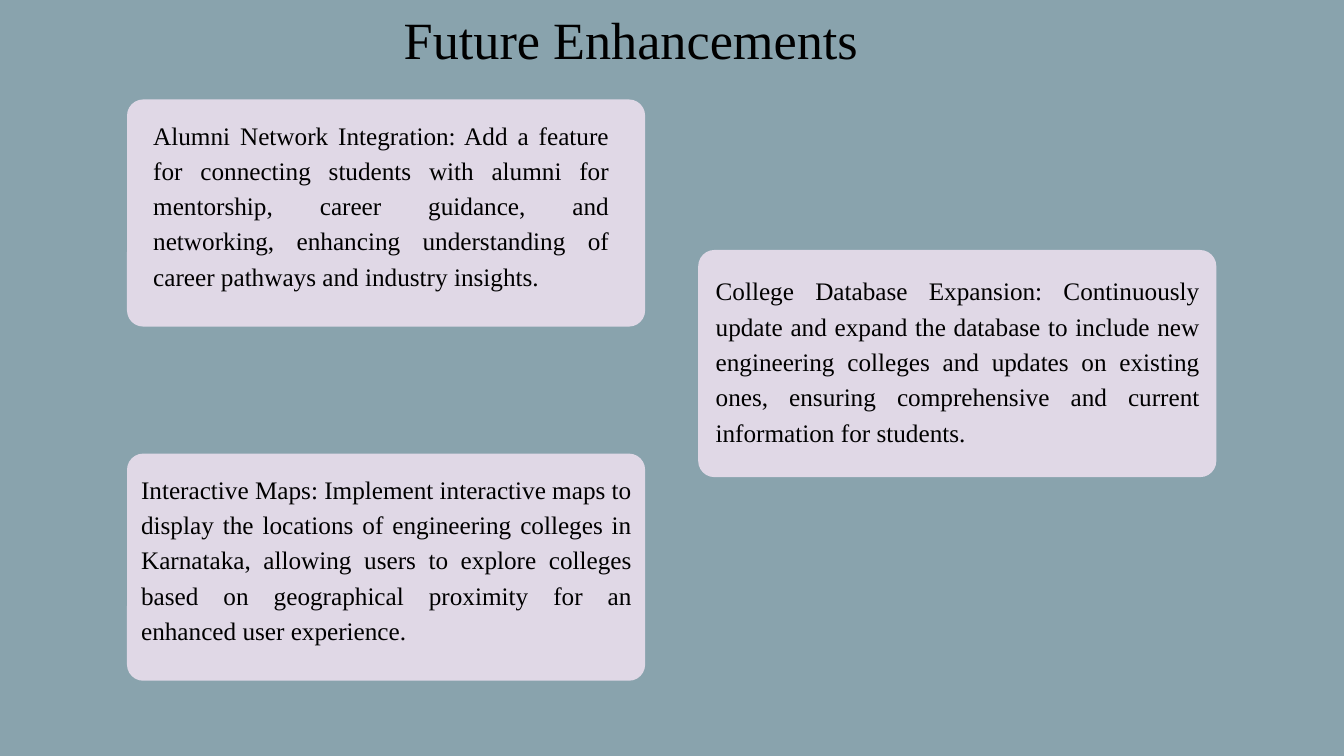
from pptx import Presentation
from pptx.dml.color import RGBColor
from pptx.enum import shapes, text
from pptx.util import Inches, Pt

BACKGROUND = RGBColor(0x89, 0xA3, 0xAD)
CARD_FILL = RGBColor(0xE0, 0xD8, 0xE6)
TEXT_COLOR = RGBColor(0, 0, 0)
FONT = "Times New Roman"
LINE_SPACING = 1.4  # line height as a multiple of the font size

CARD_WIDTH, CARD_HEIGHT, CORNER_RADIUS = 7.71, 3.38, 0.24
TEXT_HEIGHT = 2.64
LEFT_COLUMN, RIGHT_COLUMN = 1.89, 10.39

# card left, card top, text left, text top, text width, wording
ENHANCEMENTS = [
    (LEFT_COLUMN, 1.48, 2.28, 1.71, 6.78,
     "Alumni Network Integration: Add a feature for connecting students with "
     "alumni for mentorship, career guidance, and networking, enhancing "
     "understanding of career pathways and industry insights."),
    (RIGHT_COLUMN, 3.72, 10.65, 4.03, 7.2,
     "College Database Expansion: Continuously update and expand the database "
     "to include new engineering colleges and updates on existing ones, "
     "ensuring comprehensive and current information for students."),
    (LEFT_COLUMN, 6.75, 2.1, 6.98, 7.3,
     "Interactive Maps: Implement interactive maps to display the locations of "
     "engineering colleges in Karnataka, allowing users to explore colleges "
     "based on geographical proximity for an enhanced user experience."),
]


def add_card(slide, left, top):
    card = slide.shapes.add_shape(
        shapes.MSO_SHAPE.ROUNDED_RECTANGLE,
        Inches(left), Inches(top), Inches(CARD_WIDTH), Inches(CARD_HEIGHT))
    card.adjustments[0] = CORNER_RADIUS / CARD_HEIGHT
    card.shadow.inherit = False
    card.fill.solid()
    card.fill.fore_color.rgb = CARD_FILL
    card.line.fill.background()


def add_text(slide, left, top, width, height, wording, size, alignment):
    box = slide.shapes.add_textbox(
        Inches(left), Inches(top), Inches(width), Inches(height))
    frame = box.text_frame
    frame.word_wrap = True
    frame.auto_size = text.MSO_AUTO_SIZE.SHAPE_TO_FIT_TEXT
    frame.margin_left = frame.margin_right = 0
    frame.margin_top = frame.margin_bottom = 0
    paragraph = frame.paragraphs[0]
    paragraph.text = wording
    paragraph.alignment = alignment
    paragraph.line_spacing = Pt(size * LINE_SPACING)
    paragraph.font.name = FONT
    paragraph.font.size = Pt(size)
    paragraph.font.color.rgb = TEXT_COLOR


def main():
    presentation = Presentation()
    presentation.slide_width = Inches(20)
    presentation.slide_height = Inches(11.25)
    slide = presentation.slides.add_slide(presentation.slide_layouts[6])
    slide.background.fill.solid()
    slide.background.fill.fore_color.rgb = BACKGROUND

    add_text(slide, 5.9, -0.04, 6.98, 1.17, "Future Enhancements", 56,
             text.PP_ALIGN.CENTER)
    for card_left, card_top, left, top, width, wording in ENHANCEMENTS:
        add_card(slide, card_left, card_top)
        add_text(slide, left, top, width, TEXT_HEIGHT, wording, 27,
                 text.PP_ALIGN.JUSTIFY)

    presentation.save("out.pptx")


if __name__ == "__main__":
    main()
